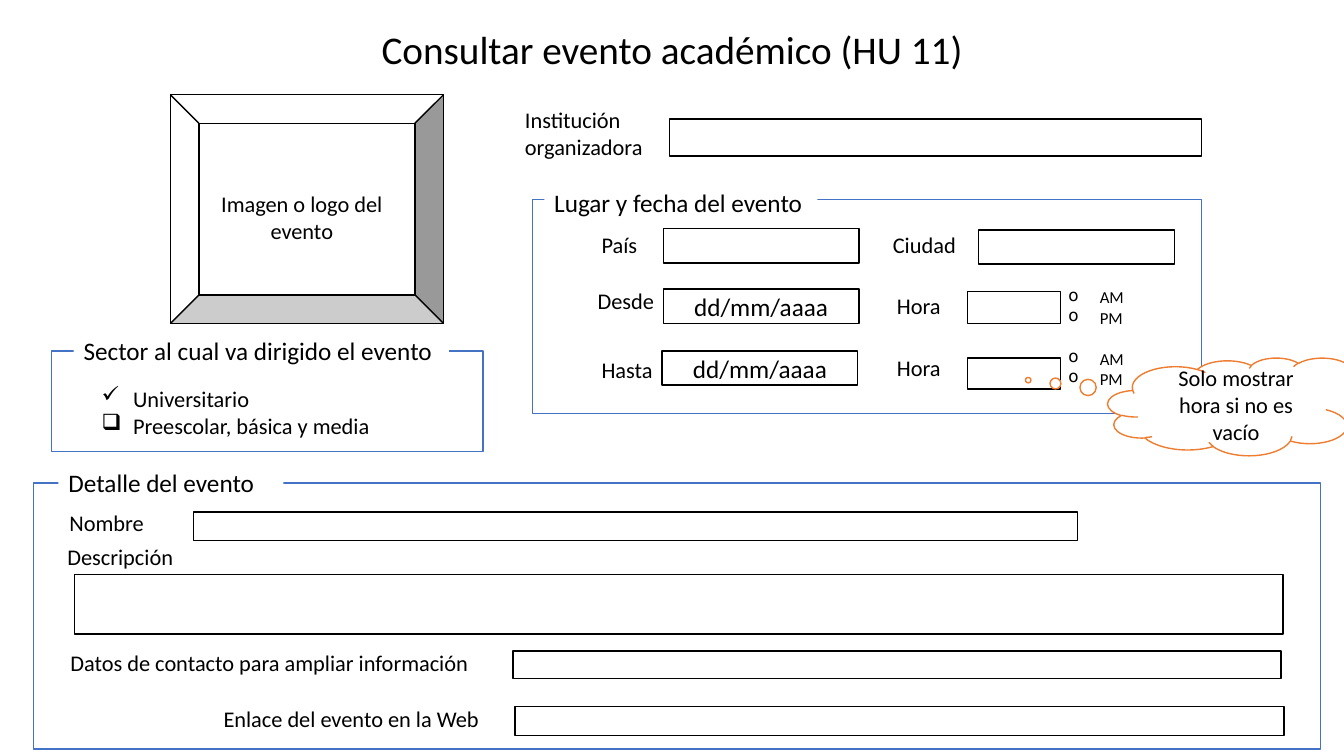
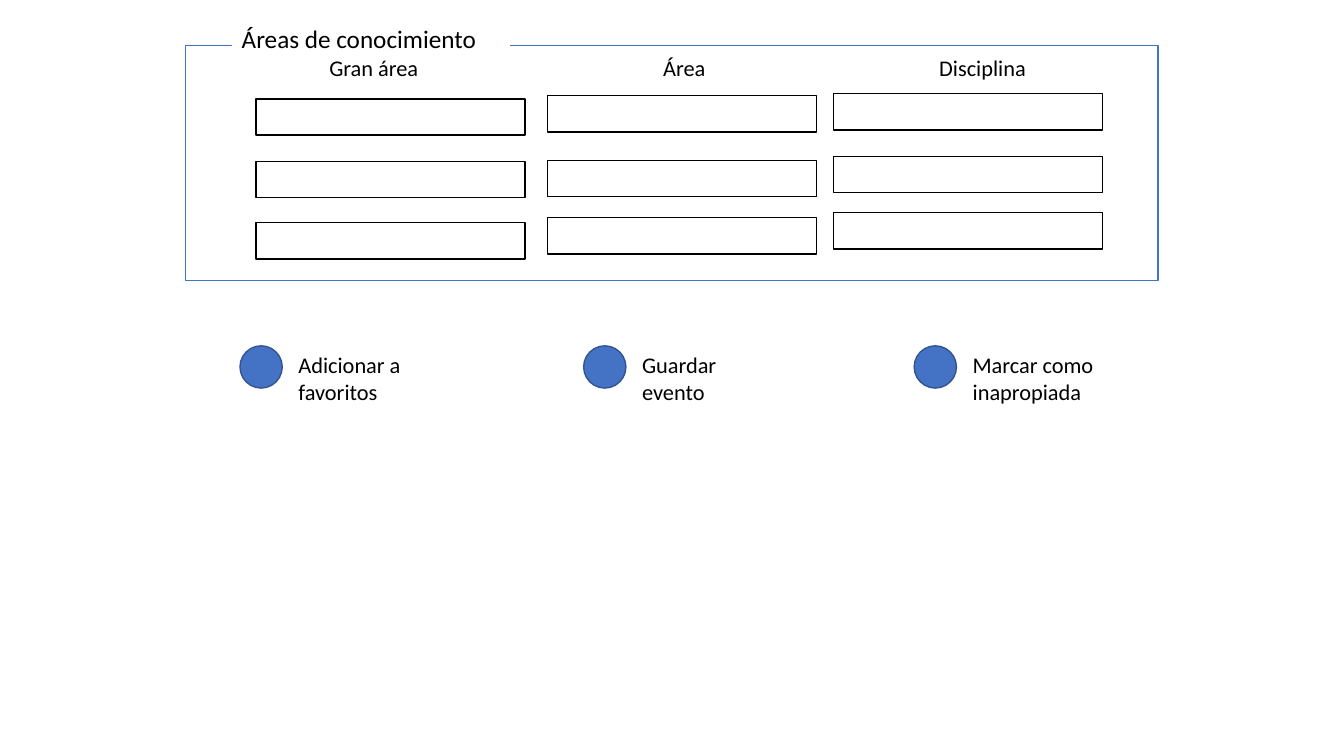
from lxml import etree
from pptx import Presentation
from pptx.dml.color import RGBColor
from pptx.enum.shapes import MSO_SHAPE
from pptx.enum.text import MSO_ANCHOR, MSO_AUTO_SIZE, PP_ALIGN
from pptx.oxml.ns import qn
from pptx.util import Pt

FONT = "Calibri"
BLACK, WHITE, BLUE, DARK_BLUE, ORANGE = "000000", "FFFFFF", "4472C4", "325491", "ED7D31"
TITLE_SIZE, HEADING_SIZE, LABEL_SIZE, OPTION_SIZE = 28, 18, 16, 12
LINE_HEIGHT, BULLET_INDENT = 26.6, 22.5

# Boxes are (left, top, width, height) in points.
TITLE = ("Consultar evento académico (HU 11)", (0, 14.4, 960, 41))

# Group: heading, box of the heading, box of the frame
EVENT_GROUPS = [
    ("Sector al cual va dirigido el evento", (52.6, 236.2, 268, 29), (36.7, 250.6, 308.2, 72)),
    ("Lugar y fecha del evento", (388.8, 130.3, 195, 29), (380.2, 142.6, 478, 152.6)),
    ("Detalle del evento", (41.8, 330.5, 160.6, 29), (23.8, 344.9, 919.4, 190)),
]
KNOWLEDGE_GROUP = ("Áreas de conocimiento", (165.6, 13, 198.7, 29), (132.5, 32.4, 694.8, 167.8))

# Label: text, left, top, width
LABELS = [
    (" País", 419, 161.3, 46), (" Ciudad", 627.1, 161.3, 66),
    (" Desde", 416.2, 201.6, 67), ("Hasta", 422.6, 250.6, 65),
    ("Hora", 633.6, 205.2, 47), ("Hora", 633.6, 249.1, 47),
    ("Nombre", 42.5, 360, 71), ("Descripción", 41, 384.5, 93),
    ("Datos de contacto para ampliar información", 43.2, 460, 305),
    ("Enlace del evento en la Web", 152.6, 500.4, 202),
]
INSTITUTION = ("Institución organizadora", (367.9, 72, 113, 46))
IMAGE_BOX = (121.7, 67.7, 195.1, 163.4)
IMAGE_LABEL = ("Imagen o logo del evento", (149, 132.5, 133.2, 46))

# Field: text shown inside, box
FIELDS = [
    ("", (478.1, 85, 380.2, 26.6)),
    ("", (473.8, 163.4, 139.7, 24.5)), ("", (699.1, 164.2, 139.7, 24.5)),
    ("dd/mm/aaaa", (473.8, 206.6, 139.7, 24.5)),
    ("dd/mm/aaaa", (473, 250.6, 139.7, 24.5)),
    ("", (691.2, 208.1, 66.2, 23)), ("", (691.2, 255.6, 66.2, 22.3)),
    ("", (138.2, 365.8, 631.4, 20.2)), ("", (53.3, 410.4, 863.3, 42.5)),
    ("", (366.5, 465.1, 548.6, 19.4)), ("", (367.9, 504.7, 549.4, 20.9)),
]

# Option list: size, items, bullets, box
OPTION_LISTS = [
    (LABEL_SIZE, ["Universitario", "Preescolar, básica y media"], "✓❑", (65.5, 271.4, 210, 46)),
    (OPTION_SIZE, ["AM", "PM"], "oo", (756, 201.6, 55, 36)),
    (OPTION_SIZE, ["AM", "PM"], "oo", (756, 245.5, 55, 36)),
]
CALLOUT = ("Solo mostrar hora si no es vacío", (791.3, 255.6, 197.3, 69.8))
CALLOUT_POINT = (-0.788, -0.271)

# Column: heading, heading left, field left, field tops
KNOWLEDGE_COLUMNS = [
    ("Gran área", 228.2, 183, (70.6, 115.2, 159.1)),
    ("Área", 466.6, 391, (68.4, 114.5, 155.5)),
    ("Disciplina", 663.8, 595.4, (67, 111.6, 151.9)),
]
COLUMN_LABEL_TOP, FIELD_WIDTH, FIELD_HEIGHT = 35, 192.2, 25.9

ACTIONS = [("Adicionar a favoritos", 171.4), ("Guardar evento", 416.9),
           ("Marcar como inapropiada", 653)]
ACTION_TOP, CIRCLE_SIZE, ACTION_LABEL_SHIFT, ACTION_LABEL_WIDTH = 247, 30.2, 34.7, 100.8


def color(value):
    """Turn a hex string into a colour."""
    return RGBColor.from_string(value)


def write(shape, lines, size, align=PP_ALIGN.LEFT, bullets=""):
    """Write one paragraph per line, with a bullet each if given."""
    frame = shape.text_frame
    frame.word_wrap = True
    frame.text = "\n".join(lines)
    for paragraph in frame.paragraphs:
        paragraph.alignment = align
        for run in paragraph.runs:
            run.font.name = FONT
            run.font.size = Pt(size)
            run.font.color.rgb = color(BLACK)
    for paragraph, bullet in zip(frame.paragraphs, bullets):
        properties = paragraph._p.get_or_add_pPr()
        properties.set("marL", str(Pt(BULLET_INDENT)))
        properties.set("indent", str(-Pt(BULLET_INDENT)))
        etree.SubElement(properties, qn("a:buChar")).set("char", bullet)


def add_box(slide, box, line=None, fill=WHITE, kind=MSO_SHAPE.RECTANGLE):
    """Add a filled preset shape, outlined when a line colour is given."""
    shape = slide.shapes.add_shape(kind, *map(Pt, box))
    shape.shadow.inherit = False
    shape.fill.solid()
    shape.fill.fore_color.rgb = color(fill)
    if line:
        shape.line.color.rgb = color(line)
        shape.line.width = Pt(1)
    else:
        shape.line.fill.background()
    return shape


def add_label(slide, lines, box, size=LABEL_SIZE, align=PP_ALIGN.LEFT, bullets=""):
    """Add a text box."""
    label = slide.shapes.add_textbox(*map(Pt, box))
    write(label, lines, size, align, bullets)
    label.text_frame.auto_size = MSO_AUTO_SIZE.SHAPE_TO_FIT_TEXT


def add_field(slide, text, box):
    """Add a form field, with its hint if there is one."""
    field = add_box(slide, box, BLACK)
    if text:
        write(field, [text], HEADING_SIZE, PP_ALIGN.CENTER)


def add_group(slide, heading, heading_box, frame_box):
    """Add a blue frame whose top line is broken by its heading."""
    add_box(slide, frame_box, BLUE)
    heading_shape = add_box(slide, heading_box)
    write(heading_shape, [heading], HEADING_SIZE)
    heading_shape.text_frame.vertical_anchor = MSO_ANCHOR.TOP


def build_event(slide):
    """Build the form with the event data."""
    for group in EVENT_GROUPS:
        add_group(slide, *group)
    text, box = TITLE
    add_label(slide, [text], box, TITLE_SIZE, PP_ALIGN.CENTER)
    add_box(slide, IMAGE_BOX, BLACK, kind=MSO_SHAPE.BEVEL)
    text, box = IMAGE_LABEL
    add_label(slide, [text], box, align=PP_ALIGN.CENTER)
    text, box = INSTITUTION
    add_label(slide, [text], box)
    for text, left, top, width in LABELS:
        add_label(slide, [text], (left, top, width, LINE_HEIGHT))
    for text, box in FIELDS:
        add_field(slide, text, box)
    for size, items, bullets, box in OPTION_LISTS:
        add_label(slide, items, box, size, bullets=bullets)
    text, box = CALLOUT
    callout = add_box(slide, box, ORANGE, kind=MSO_SHAPE.CLOUD_CALLOUT)
    callout.adjustments[0], callout.adjustments[1] = CALLOUT_POINT
    write(callout, [text], LABEL_SIZE, PP_ALIGN.CENTER)


def build_knowledge(slide):
    """Build the knowledge areas and the action buttons."""
    add_group(slide, *KNOWLEDGE_GROUP)
    for heading, heading_left, field_left, tops in KNOWLEDGE_COLUMNS:
        add_label(slide, [heading], (heading_left, COLUMN_LABEL_TOP, 100, LINE_HEIGHT))
        for top in tops:
            add_field(slide, "", (field_left, top, FIELD_WIDTH, FIELD_HEIGHT))
    for text, left in ACTIONS:
        add_box(slide, (left, ACTION_TOP, CIRCLE_SIZE, CIRCLE_SIZE),
                DARK_BLUE, BLUE, MSO_SHAPE.OVAL)
        add_label(slide, [text],
                  (left + ACTION_LABEL_SHIFT, ACTION_TOP, ACTION_LABEL_WIDTH, 46))


presentation = Presentation()
presentation.slide_width, presentation.slide_height = Pt(960), Pt(540)
for build in (build_event, build_knowledge):
    build(presentation.slides.add_slide(presentation.slide_layouts[6]))
presentation.save("out.pptx")
